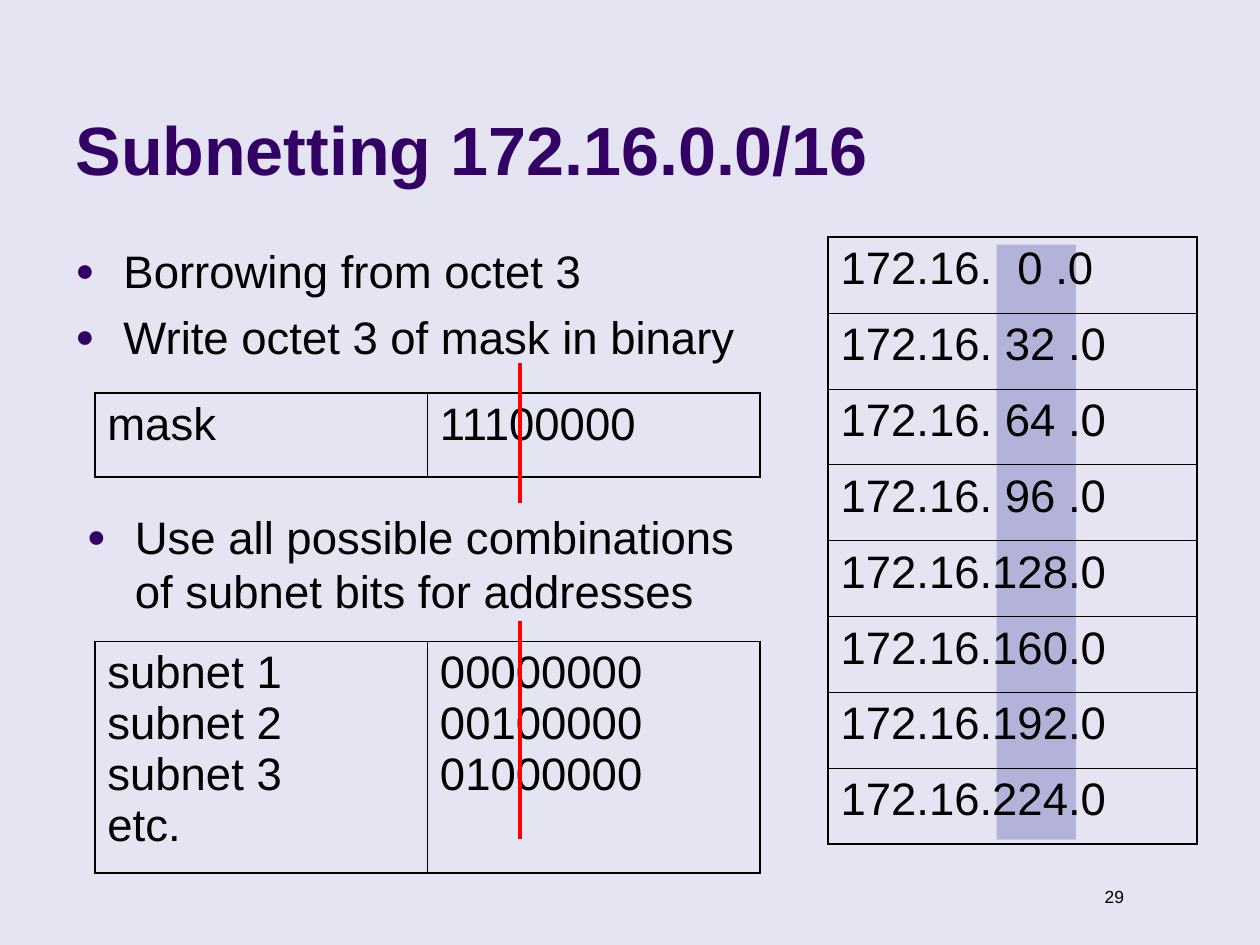
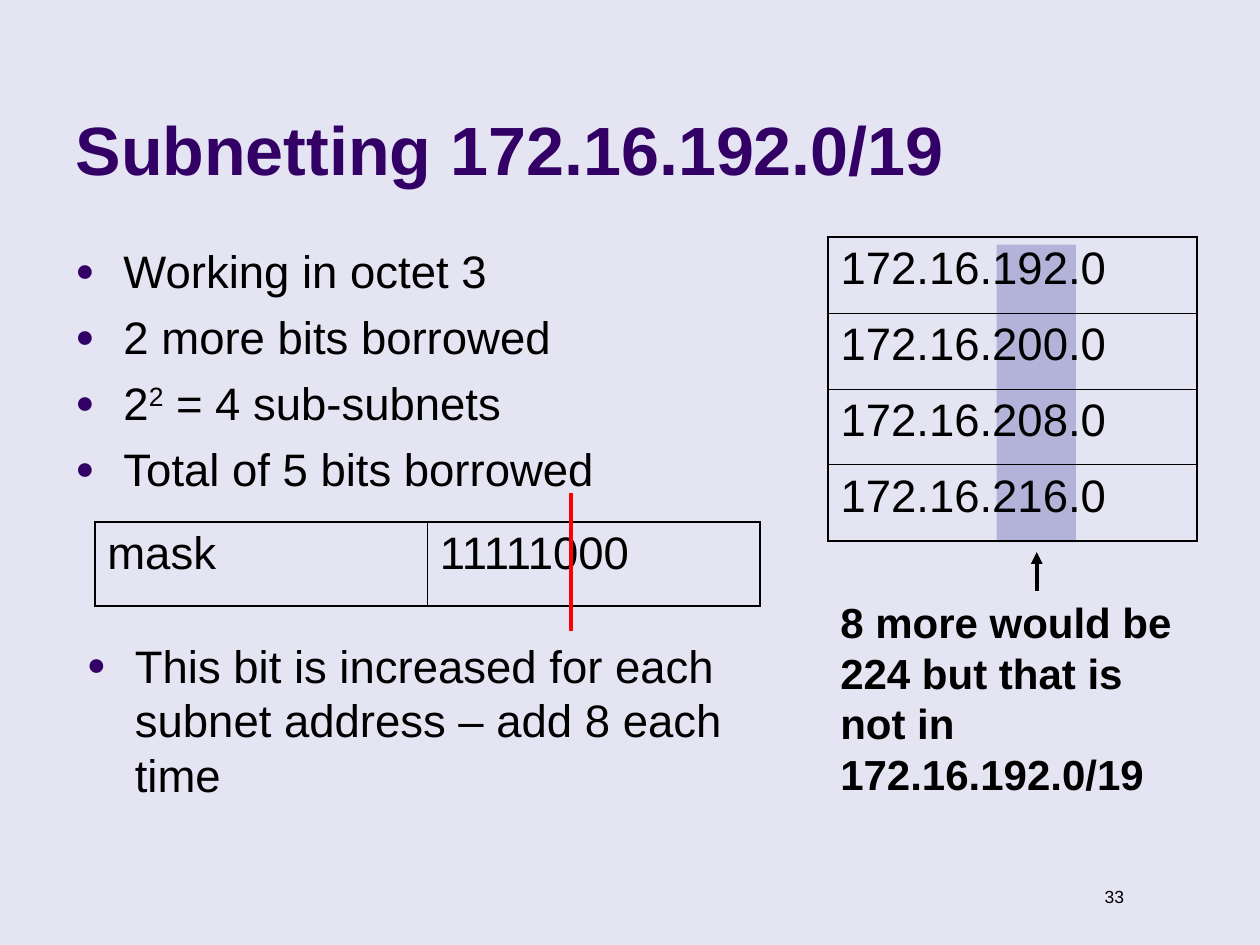
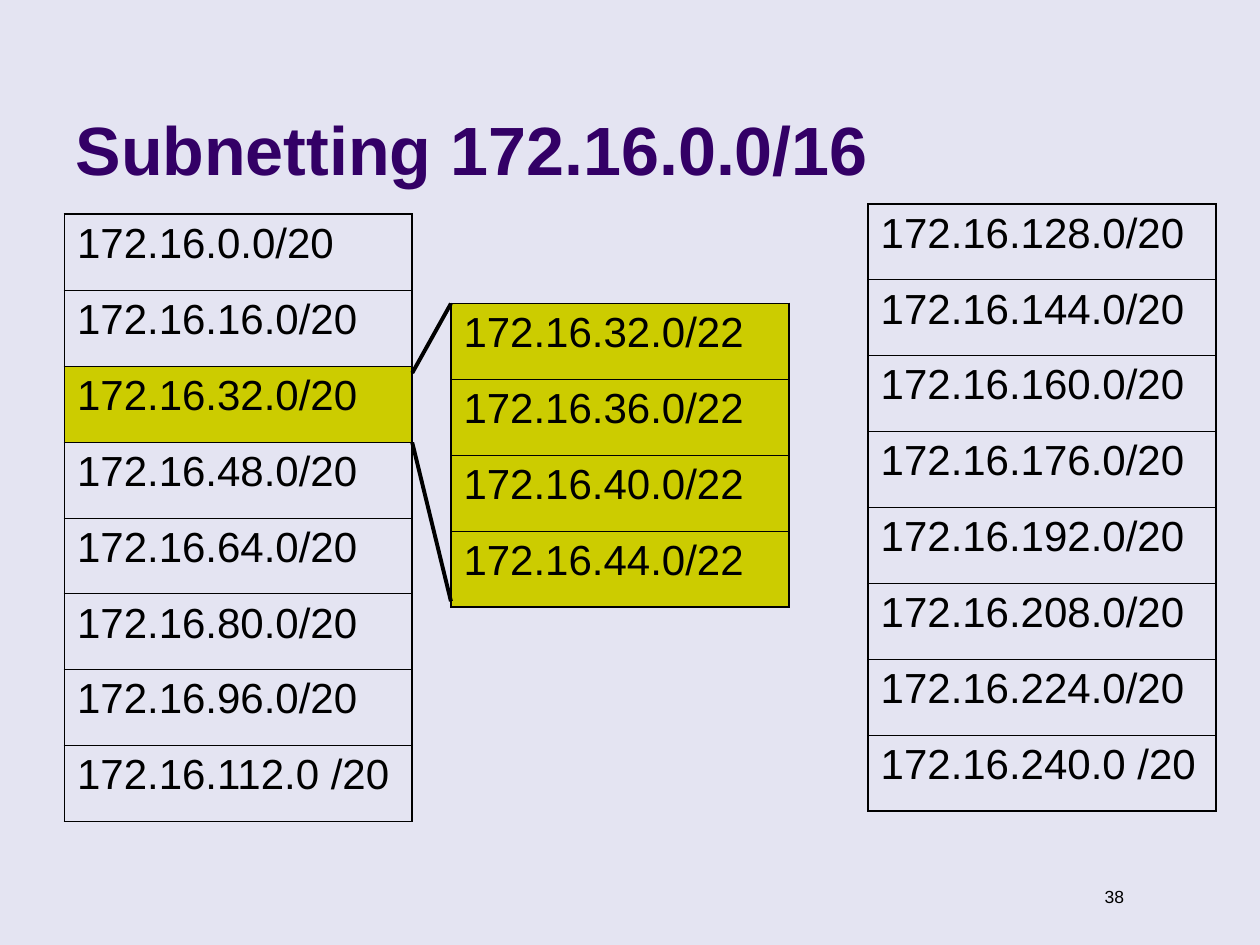
from lxml import etree
from pptx import Presentation
from pptx.dml.color import RGBColor
from pptx.enum.shapes import MSO_CONNECTOR, MSO_SHAPE
from pptx.enum.text import MSO_ANCHOR, MSO_AUTO_SIZE, PP_ALIGN
from pptx.oxml.ns import qn
from pptx.util import Cm, Pt

LEFT, RIGHT = PP_ALIGN.LEFT, PP_ALIGN.RIGHT
BOTTOM, FIXED = MSO_ANCHOR.BOTTOM, MSO_AUTO_SIZE.NONE
RECT, STRAIGHT = MSO_SHAPE.RECTANGLE, MSO_CONNECTOR.STRAIGHT

COLORS = {
    "back": "E4E4F2", "title": "330066", "text": "000000",
    "band": "B3B3D9", "cut": "FF0000", "hot": "CCCC00",
}
# Font values, paragraph values and colour for each kind of text
FORMATS = {
    "title": ({"size": Pt(39), "bold": True},
              {"alignment": LEFT, "space_before": Pt(0)}, "title"),
    "body": ({"size": Pt(26)}, {"space_before": Pt(6.5)}, "text"),
    "list": ({"size": Pt(24)}, {"space_before": Pt(6)}, "text"),
    "note": ({"size": Pt(24), "bold": True}, {"space_before": Pt(15)}, "text"),
    "page": ({"size": Pt(10)},
             {"alignment": RIGHT, "space_before": Pt(6.2)}, "text"),
}
FONT = "Arial"
ROW = 1.53  # row height of the address tables
THICK, THIN = 1.08, 0.45


def color(key):
    return RGBColor.from_string(COLORS[key])


def assign(item, values):
    for name, value in values.items():
        setattr(item, name, value)


def node(parent, tag, **values):
    child = etree.SubElement(parent, qn(tag))
    for name, value in values.items():
        child.set(name, str(value))
    return child


class Deck:
    def __init__(self):
        self.prs = Presentation()
        assign(self.prs, {"slide_width": Cm(25.4), "slide_height": Cm(19.05)})
        fill = self.prs.slide_master.background.fill
        fill.solid()
        fill.fore_color.rgb = color("back")
        self.slide = None

    # New slide with title and page number
    def start(self, title, page):
        self.slide = self.prs.slides.add_slide(self.prs.slide_layouts[5])
        head = self.slide.shapes.title
        assign(head, {"left": Cm(1.27), "top": Cm(0.33),
                      "width": Cm(20.96), "height": Cm(3.61)})
        assign(head.text_frame, {"vertical_anchor": BOTTOM,
                                 "auto_size": FIXED})
        self.put(head.text_frame, [title], "title")
        self.text(21.31, 17.73, 1.6, 0.69, [str(page)], "page")

    # Text: a caret pair marks a superscript, a newline a line break
    def put(self, frame, lines, kind):
        font, para, tint = FORMATS[kind]
        for n, line in enumerate(lines):
            p = frame.add_paragraph() if n else frame.paragraphs[0]
            assign(p, para)
            for m, row in enumerate(line.split("\n")):
                if m:
                    p.add_line_break()
                for k, part in enumerate(row.split("^")):
                    run = p.add_run()
                    run.text = part
                    assign(run.font, {"name": FONT, **font})
                    run.font.color.rgb = color(tint)
                    if k % 2:
                        run._r.get_or_add_rPr().set("baseline", "30000")

    def text(self, x, y, w, h, lines, kind):
        box = self.slide.shapes.add_textbox(Cm(x), Cm(y), Cm(w), Cm(h))
        box.text_frame.word_wrap = True
        self.put(box.text_frame, lines, kind)
        return box.text_frame

    def bullets(self, x, y, w, h, lines):
        for p in self.text(x, y, w, h, lines, "body").paragraphs:
            props = p._p.get_or_add_pPr()
            props.set("marL", str(Cm(0.97)))
            props.set("indent", str(-Cm(0.97)))
            node(node(props, "a:buClr"), "a:srgbClr", val=COLORS["title"])
            node(props, "a:buSzPct", val=70000)
            node(props, "a:buFont", typeface=FONT)
            node(props, "a:buChar", char="●")

    def band(self, x, y, w, h):
        shape = self.slide.shapes.add_shape(RECT, Cm(x), Cm(y), Cm(w), Cm(h))
        shape.shadow.inherit = False
        shape.fill.solid()
        shape.fill.fore_color.rgb = color("band")
        shape.line.fill.background()

    def line(self, x1, y1, x2, y2, tint="text", arrow=False):
        link = self.slide.shapes.add_connector(
            STRAIGHT, Cm(x1), Cm(y1), Cm(x2), Cm(y2))
        link.line.color.rgb = color(tint)
        link.line.width = Pt(2.25)
        props = link._element.spPr
        if arrow:
            node(props.find(qn("a:ln")), "a:tailEnd", type="triangle")
        node(props, "a:effectLst")

    # Table with a thick frame and thin inner lines
    def table(self, x, y, w, rows, kind="body", high=ROW, hot=()):
        count, wide = len(rows), len(rows[0])
        grid = self.slide.shapes.add_table(
            count, wide, Cm(x), Cm(y), Cm(w), Cm(high * count)).table
        assign(grid, {"first_row": False, "horz_banding": False})
        for r, row in enumerate(rows):
            grid.rows[r].height = Cm(high)
            for c, words in enumerate(row):
                cell = grid.cell(r, c)
                self.put(cell.text_frame, [words], kind)
                edges = {"L": c == 0, "R": c == wide - 1,
                         "T": r == 0, "B": r == count - 1}
                self.frame(cell, edges)
                if r in hot:
                    cell.fill.solid()
                    cell.fill.fore_color.rgb = color("hot")
                else:
                    cell.fill.background()

    def frame(self, cell, edges):
        props = cell._tc.get_or_add_tcPr()
        for side, outer in edges.items():
            edge = node(props, "a:ln" + side, w=Pt(THICK if outer else THIN))
            node(node(edge, "a:solidFill"), "a:srgbClr", val=COLORS["text"])

    # Address table whose third octet is marked by a band
    def octets(self, rows):
        self.band(20.09, 4.93, 1.6, 1.5 * len(rows))
        self.table(16.69, 4.78, 7.44, rows)

    # Two-column bit table
    def bits(self, y, high, name, value):
        self.table(1.91, y, 13.41, [(name, value)], high=high)


def octet(n):
    return f"{n:>3} " if n < 100 else str(n)


def blocks(first):
    rows = [(f"172.16.{n}.0/20",) for n in range(first, first + 112, 16)]
    return rows + [(f"172.16.{first + 112}.0 /20",)]


def main():
    deck = Deck()

    # Borrowing three bits
    deck.start("Subnetting 172.16.0.0/16", 29)
    deck.octets([(f"172.16.{octet(n)}.0",) for n in range(0, 256, 32)])
    deck.bullets(1.27, 4.78, 14.22, 3.15, [
        "Borrowing from octet 3", "Write octet 3 of mask in binary"])
    deck.bits(7.92, 1.7, "mask", "11100000")
    deck.line(10.49, 10.13, 10.49, 7.32, "cut")
    deck.bullets(1.5, 10.13, 14.22, 2.59, [
        "Use all possible combinations of subnet bits for addresses"])
    deck.bits(12.93, 4.67, "subnet 1\nsubnet 2\nsubnet 3\netc.",
              "00000000\n00100000\n01000000")
    deck.line(10.49, 16.92, 10.49, 12.52, "cut")

    # Borrowing two more bits
    deck.start("Subnetting 172.16.192.0/19", 33)
    deck.octets([(f"172.16.{n}.0",) for n in range(192, 224, 8)])
    deck.bullets(1.27, 4.78, 14.22, 5.54, [
        "Working in octet 3", "2 more bits borrowed",
        "2^2^ = 4 sub-subnets", "Total of 5 bits borrowed"])
    deck.bits(10.52, 1.7, "mask", "11111000")
    deck.line(11.51, 12.73, 11.51, 9.93, "cut")
    deck.bullets(1.5, 12.73, 14.4, 3.99, [
        "This bit is increased for each subnet address – add 8 each time"])
    deck.text(16.69, 11.91, 7.39, 4.32, [
        "8 more would be 224 but that is not in 172.16.192.0/19"], "note")
    deck.line(20.9, 11.91, 20.9, 11.13, arrow=True)

    # One block split into four
    deck.start("Subnetting 172.16.0.0/16", 38)
    deck.table(1.3, 4.32, 7.01, blocks(0), "list", hot=[2])
    parts = [(f"172.16.{n}.0/22",) for n in range(32, 48, 4)]
    deck.table(9.09, 6.12, 6.81, parts, "list", hot=range(4))
    deck.line(8.31, 7.52, 9.09, 6.12)
    deck.line(8.31, 8.92, 9.09, 12.12)
    deck.table(17.5, 4.11, 7.01, blocks(128), "list")

    deck.prs.save("out.pptx")


if __name__ == "__main__":
    main()
